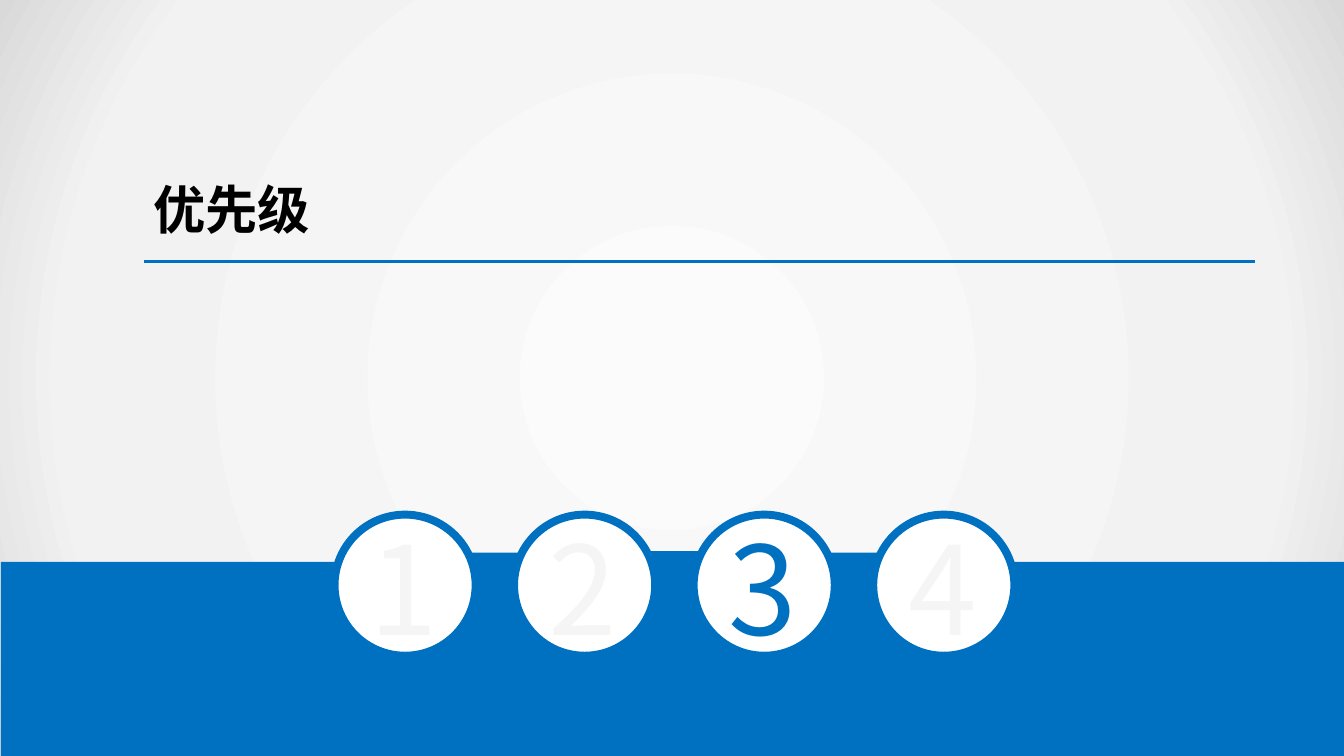
import math
from dataclasses import dataclass

from lxml import etree
from pptx import Presentation
from pptx import util as u
from pptx.dml.color import RGBColor
from pptx.enum import shapes, text
from pptx.oxml import ns


@dataclass(frozen=True)
class Theme:
    blue: str = "0070C0"
    white: str = "FFFFFF"
    black: str = "000000"
    pale: str = "F5F5F5"
    backdrop: tuple = ((0, "FBFBFB"), (79, "F2F2F2"), (100, "D9D9D9"))
    font: str = "Noto Sans CJK SC"
    title_size: float = 28
    digit_size: float = 66


THEME = Theme()
WIDTH, HEIGHT = 720, 405
CIRCLE_X, CIRCLE_Y, CIRCLE_SIZE = 217, 313.5, 75.6  # first centre, diameter
PITCH = 96.2
BAND_TOP = 301


def color(value):
    return RGBColor.from_string(value)


def box(left, top, width, height):
    return [u.Pt(value) for value in (left, top, width, height)]


def style(shape, fill, line=None, line_width=0):
    shape.shadow.inherit = False
    shape.fill.solid()
    shape.fill.fore_color.rgb = color(fill)
    if line:
        shape.line.color.rgb = color(line)
        shape.line.width = u.Pt(line_width)
    else:
        shape.line.fill.background()


def add_shape(slide, kind, place, fill, line=None, line_width=0):
    shape = slide.shapes.add_shape(kind, *box(*place))
    style(shape, fill, line, line_width)
    return shape


def add_backdrop(slide):
    shape = add_shape(slide, shapes.MSO_SHAPE.RECTANGLE,
                      (0, 0, WIDTH, HEIGHT), THEME.white)
    shape.fill.gradient()
    gradient = shape._element.spPr.find(ns.qn("a:gradFill"))
    for child in list(gradient):
        gradient.remove(child)
    stops = etree.SubElement(gradient, ns.qn("a:gsLst"))
    for position, value in THEME.backdrop:
        stop = etree.SubElement(stops, ns.qn("a:gs"), pos=str(position * 1000))
        etree.SubElement(stop, ns.qn("a:srgbClr"), val=value)
    circle = etree.SubElement(gradient, ns.qn("a:path"), path="circle")
    etree.SubElement(circle, ns.qn("a:fillToRect"),
                     l="50000", t="50000", r="50000", b="50000")


def add_band(slide):
    """Bottom band with a half-round notch between each pair of circles."""
    radius, steps = 12, 12
    points = []
    for gap in range(3):
        center = CIRCLE_X + (gap + 0.5) * PITCH
        for step in range(steps + 1):
            angle = math.pi * step / steps
            points.append((center - radius * math.cos(angle),
                           BAND_TOP + radius * math.sin(angle)))
    points += [(WIDTH + 0.5, BAND_TOP), (WIDTH + 0.5, HEIGHT), (0.5, HEIGHT)]
    builder = slide.shapes.build_freeform(u.Pt(0.5), u.Pt(BAND_TOP))
    builder.add_line_segments([(u.Pt(x), u.Pt(y)) for x, y in points], close=True)
    style(builder.convert_to_shape(), THEME.blue)


def add_text(slide, content, place, *, size, ink, bold=False, wrap=True,
             anchor=text.MSO_ANCHOR.TOP, insets=(7.2, 3.6)):
    frame = slide.shapes.add_textbox(*box(*place)).text_frame
    frame.word_wrap = wrap
    frame.vertical_anchor = anchor
    frame.margin_left = frame.margin_right = u.Pt(insets[0])
    frame.margin_top = frame.margin_bottom = u.Pt(insets[1])
    if not wrap:
        frame.auto_size = text.MSO_AUTO_SIZE.SHAPE_TO_FIT_TEXT
    run = frame.paragraphs[0].add_run()
    run.text = content
    run.font.name = THEME.font
    run.font.size = u.Pt(size)
    run.font.bold = bold
    run.font.color.rgb = color(ink)
    properties = run._r.get_or_add_rPr()
    etree.SubElement(properties, ns.qn("a:ea"), typeface=THEME.font)


def add_rule(slide, left, right, y):
    line = slide.shapes.add_connector(shapes.MSO_CONNECTOR.STRAIGHT,
                                      u.Pt(left), u.Pt(y), u.Pt(right), u.Pt(y))
    line.line.color.rgb = color(THEME.blue)
    line.line.width = u.Pt(1.25)
    etree.SubElement(line._element.spPr, ns.qn("a:effectLst"))


def main():
    presentation = Presentation()
    presentation.slide_width, presentation.slide_height = u.Pt(WIDTH), u.Pt(HEIGHT)
    slide = presentation.slides.add_slide(presentation.slide_layouts[6])
    slide.background.fill.solid()
    slide.background.fill.fore_color.rgb = color("F2F2F2")

    # Backdrop, links between circles, bottom band
    add_backdrop(slide)
    rectangle = shapes.MSO_SHAPE.RECTANGLE
    add_shape(slide, rectangle, (347, 296, 34, 28), THEME.blue, THEME.blue, 2)
    for left in (437.8, 249.1):
        add_shape(slide, rectangle, (left, 296, 34, 29.5), THEME.blue)
    add_band(slide)

    # Chapter circles
    centers = [CIRCLE_X + index * PITCH for index in range(4)]
    for center in centers:
        place = (center - CIRCLE_SIZE / 2, CIRCLE_Y - CIRCLE_SIZE / 2,
                 CIRCLE_SIZE, CIRCLE_SIZE)
        add_shape(slide, shapes.MSO_SHAPE.OVAL, place, THEME.white, THEME.blue, 4.25)

    # Title and rule
    add_text(slide, "优先级", (77, 83.5, 305.3, 56.9), size=THEME.title_size,
             ink=THEME.black, bold=True, anchor=text.MSO_ANCHOR.MIDDLE,
             insets=(5.04, 2.88))
    add_rule(slide, 77, 672.5, 140.2)

    # Chapter numbers, with the current one in blue
    current = 3
    for number, center in enumerate(centers, start=1):
        add_text(slide, str(number), (center - 26.2, 270.7, 50.4, 87.1),
                 size=THEME.digit_size, wrap=False,
                 ink=THEME.blue if number == current else THEME.pale)

    presentation.save("out.pptx")


if __name__ == "__main__":
    main()
